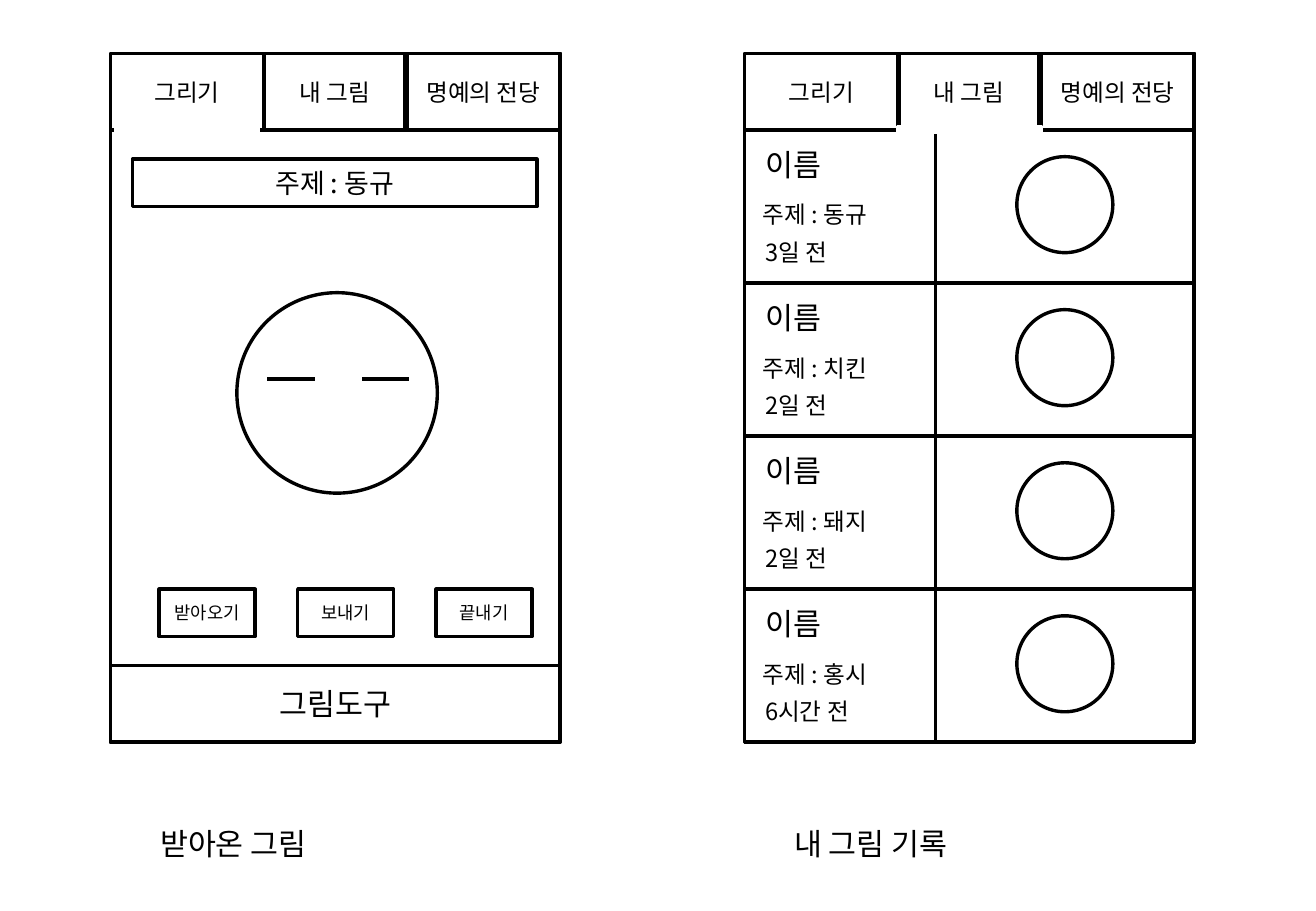
from dataclasses import dataclass

from lxml import etree
from pptx import Presentation
from pptx.dml.color import RGBColor
from pptx.enum.shapes import MSO_CONNECTOR, MSO_SHAPE
from pptx.enum.text import MSO_ANCHOR, MSO_AUTO_SIZE, PP_ALIGN
from pptx.oxml.ns import qn
from pptx.shapes.shapetree import GroupShapes, SlideShapes
from pptx.text.text import TextFrame
from pptx.util import Pt

RECTANGLE = MSO_SHAPE.RECTANGLE
OVAL = MSO_SHAPE.OVAL
STRAIGHT = MSO_CONNECTOR.STRAIGHT
CENTER = PP_ALIGN.CENTER
LEFT = PP_ALIGN.LEFT
MIDDLE = MSO_ANCHOR.MIDDLE
FIT_TEXT = MSO_AUTO_SIZE.SHAPE_TO_FIT_TEXT


@dataclass(frozen=True)
class Theme:
    font: str = "Noto Sans CJK KR"
    ink: RGBColor = RGBColor(0, 0, 0)
    paper: RGBColor = RGBColor(255, 255, 255)
    line_width: float = 2
    heading: float = 18
    topic: float = 16
    body: float = 14
    button: float = 10.5


@dataclass(frozen=True)
class Box:
    left: float
    top: float
    width: float
    height: float


@dataclass(frozen=True)
class Tab:
    label: str
    offset: float
    width: float


@dataclass(frozen=True)
class Record:
    topic: str
    age: str
    age_width: float


THEME = Theme()
SCREEN_TOP, SCREEN_WIDTH, SCREEN_HEIGHT = 31.7, 266.4, 408.2
TAB_HEIGHT = 45.36
ROW_HEIGHT = 90.72
ROWS_TOP = SCREEN_TOP + TAB_HEIGHT
DRAWING_LEFT, HISTORY_LEFT = 65.5, 441.4
TABS = (
    Tab("그리기", 0, 90.7),
    Tab("내 그림", 91.4, 82.8),
    Tab("명예의 전당", 175.7, 90.7),
)
BUTTONS = ("받아오기", "보내기", "끝내기")
RECORDS = (
    Record("주제 : 동규", "3일 전", 55.4),
    Record("주제 : 치킨", "2일 전", 55.4),
    Record("주제 : 돼지", "2일 전", 55.4),
    Record("주제 : 홍시", "6시간 전", 69.8),
)


def write(frame: TextFrame, text: str, size: float, alignment: PP_ALIGN) -> None:
    """Write one formatted run in the first paragraph of a frame."""
    paragraph = frame.paragraphs[0]
    paragraph.alignment = alignment
    run = paragraph.add_run()
    run.text = text
    run.font.name = THEME.font
    run.font.size = Pt(size)
    run.font.color.rgb = THEME.ink
    east_asian = etree.SubElement(run.font._element, qn("a:ea"))
    east_asian.set("typeface", THEME.font)


def draw_shape(shapes: GroupShapes, box: Box, text: str = "", size: float = THEME.body,
               kind: MSO_SHAPE = RECTANGLE, line: RGBColor = THEME.ink) -> None:
    """Draw an outlined shape with optional centred text."""
    shape = shapes.add_shape(kind, Pt(box.left), Pt(box.top), Pt(box.width), Pt(box.height))
    shape.shadow.inherit = False
    shape.fill.solid()
    shape.fill.fore_color.rgb = THEME.paper
    shape.line.color.rgb = line
    shape.line.width = Pt(THEME.line_width)
    if text:
        shape.text_frame.vertical_anchor = MIDDLE
        write(shape.text_frame, text, size, CENTER)


def draw_label(shapes: GroupShapes, box: Box, text: str, size: float) -> None:
    """Draw a text box that fits its single line."""
    label = shapes.add_textbox(Pt(box.left), Pt(box.top), Pt(box.width), Pt(box.height))
    label.text_frame.word_wrap = False
    label.text_frame.auto_size = FIT_TEXT
    write(label.text_frame, text, size, LEFT)


def draw_frame(shapes: GroupShapes, left: float, caption: str, caption_width: float) -> None:
    """Draw the outline, tab bar and caption shared by both screens."""
    draw_shape(shapes, Box(left, SCREEN_TOP, SCREEN_WIDTH, SCREEN_HEIGHT))
    draw_shape(shapes, Box(left, SCREEN_TOP, SCREEN_WIDTH, TAB_HEIGHT))
    for tab in TABS:
        draw_shape(shapes, Box(left + tab.offset, SCREEN_TOP, tab.width, TAB_HEIGHT), tab.label)
    draw_label(shapes, Box(left + 22.3, 485.3, caption_width, 28.8), caption, THEME.heading)


def open_tab(shapes: GroupShapes, left: float) -> None:
    """Clear the line below the active tab."""
    draw_shape(shapes, Box(left, 74.9, 85, 3.6), line=THEME.paper)


def draw_eye(shapes: SlideShapes, left: float) -> None:
    """Draw one closed eye as a horizontal line."""
    eye = shapes.add_connector(STRAIGHT, Pt(left), Pt(224.6), Pt(left + 28.1), Pt(224.6))
    eye.line.color.rgb = THEME.ink
    eye.line.width = Pt(THEME.line_width)
    etree.SubElement(eye._element.spPr, qn("a:effectLst"))


def draw_drawing_screen(slide_shapes: SlideShapes) -> None:
    """Draw the screen with the received drawing."""
    left = DRAWING_LEFT
    shapes = slide_shapes.add_group_shape().shapes
    draw_frame(shapes, left, "받아온 그림", 111.6)
    open_tab(shapes, left + 2.9)
    draw_shape(shapes, Box(left + 13, 94.3, 239.8, 28.1), "주제 : 동규", THEME.topic)
    draw_shape(shapes, Box(left + 74.9, 173.5, 118.8, 118.8), kind=OVAL)
    for index, label in enumerate(BUTTONS):
        box = Box(left + 28.8 + index * 82.1, 349.2, 56.9, 28.1)
        draw_shape(shapes, box, label, THEME.button)
    draw_shape(shapes, Box(left, 394.56, SCREEN_WIDTH, TAB_HEIGHT), "그림도구", THEME.heading)
    for index in range(2):
        draw_eye(slide_shapes, left + 92.9 + index * 56.2)


def draw_record(shapes: GroupShapes, left: float, top: float, record: Record) -> None:
    """Draw one row of the drawing history."""
    draw_shape(shapes, Box(left, top, SCREEN_WIDTH, ROW_HEIGHT))
    draw_shape(shapes, Box(left + 113, top, 153.4, ROW_HEIGHT))
    draw_shape(shapes, Box(left + 161.3, top + 15.8, 56.9, 56.9), kind=OVAL)
    draw_label(shapes, Box(left + 5, top + 5.8, 51.1, 28.8), "이름", THEME.heading)
    draw_label(shapes, Box(left + 3.6, top + 38.2, 84.2, 24.5), record.topic, THEME.body)
    draw_label(shapes, Box(left + 5, top + 60.5, record.age_width, 24.5), record.age, THEME.body)


def draw_history_screen(slide_shapes: SlideShapes) -> None:
    """Draw the screen with the list of past drawings."""
    shapes = slide_shapes.add_group_shape().shapes
    draw_frame(shapes, HISTORY_LEFT, "내 그림 기록", 118.1)
    for index, record in enumerate(RECORDS):
        draw_record(shapes, HISTORY_LEFT, ROWS_TOP + index * ROW_HEIGHT, record)
    open_tab(shapes, HISTORY_LEFT + 90.7)


def main() -> None:
    """Build and save the presentation."""
    presentation = Presentation()
    presentation.slide_width = Pt(780)
    presentation.slide_height = Pt(540)
    slide = presentation.slides.add_slide(presentation.slide_layouts[6])
    draw_drawing_screen(slide.shapes)
    draw_history_screen(slide.shapes)
    presentation.save("out.pptx")


if __name__ == "__main__":
    main()
